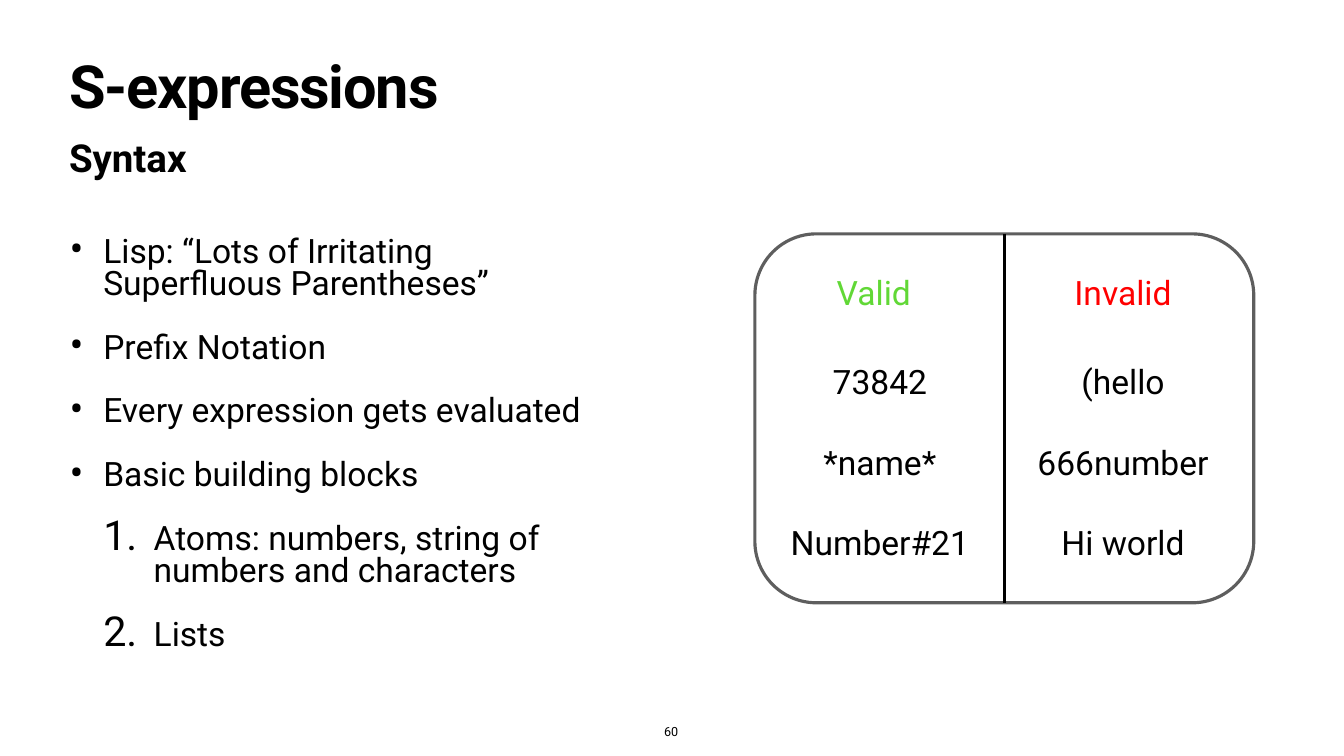
from lxml import etree
from pptx import Presentation
from pptx.dml.color import RGBColor
from pptx.enum.shapes import MSO_CONNECTOR, MSO_SHAPE
from pptx.enum.text import MSO_ANCHOR, PP_ALIGN
from pptx.oxml.ns import qn
from pptx.util import Inches, Pt

TOP, MIDDLE, BOTTOM = MSO_ANCHOR.TOP, MSO_ANCHOR.MIDDLE, MSO_ANCHOR.BOTTOM
LEFT, CENTER = PP_ALIGN.LEFT, PP_ALIGN.CENTER
ROUNDED, STRAIGHT = MSO_SHAPE.ROUNDED_RECTANGLE, MSO_CONNECTOR.STRAIGHT

FONT = "Roboto"
COLORS = {"text": "000000", "valid": "61D836", "invalid": "FF0000", "frame": "5E5E5E"}

TITLE = "S-expressions"
SUBTITLE = "Syntax"
PAGE_NUMBER = "60"
POINTS = [
    (0, "Lisp: “Lots of Irritating Superfluous Parentheses”"),
    (0, "Prefix Notation"),
    (0, "Every expression gets evaluated"),
    (0, "Basic building blocks"),
    (1, "Atoms: numbers, string of numbers and characters"),
    (1, "Lists"),
]
LEVELS = [
    {"margin": 0.67, "hanging": 0.67, "tag": "a:buChar", "attributes": {"char": "•"}},
    {"margin": 1.67, "hanging": 1.0, "tag": "a:buAutoNum", "attributes": {"type": "arabicPeriod"}},
]
COLUMNS = [
    {"heading": "Valid", "color": "valid", "heading_span": (15.53, 3.62),
     "examples": ["73842", "*name*", "Number#21"], "examples_span": (15.53, 3.86)},
    {"heading": "Invalid", "color": "invalid", "heading_span": (21.03, 2.51),
     "examples": ["(hello", "666number", "Hi world"], "examples_span": (19.93, 4.71)},
]
FRAME = (14.98, 4.64, 9.9, 7.32)


def fill_text(shape, texts, size, color="text", bold=False, align=LEFT,
              anchor=TOP, inset=0.06, gap=0):
    frame = shape.text_frame
    frame.text = "\n".join(texts)
    frame.word_wrap = True
    frame.vertical_anchor = anchor
    frame.margin_left = frame.margin_right = Inches(inset)
    frame.margin_top = frame.margin_bottom = Inches(inset)
    for index, paragraph in enumerate(frame.paragraphs):
        paragraph.alignment = align
        if index and gap:
            paragraph.space_before = Pt(gap)
        for run in paragraph.runs:
            run.font.name = FONT
            run.font.size = Pt(size)
            run.font.bold = bold
            run.font.color.rgb = RGBColor.from_string(COLORS[color])
    return frame.paragraphs


def add_text(slide, box, texts, size, **style):
    shape = slide.shapes.add_textbox(*map(Inches, box))
    return fill_text(shape, texts, size, **style)


def add_bullet(paragraph, level):
    style = LEVELS[level]
    paragraph.level = level
    properties = paragraph._p.get_or_add_pPr()
    properties.set("marL", str(Inches(style["margin"])))
    properties.set("indent", str(-Inches(style["hanging"])))
    etree.SubElement(properties, qn("a:buSzPct"), val="123000")
    etree.SubElement(properties, qn("a:buFont"), typeface=FONT)
    etree.SubElement(properties, qn(style["tag"]), style["attributes"])


def add_title(slide):
    title = slide.shapes.title
    title.left, title.top, title.width, title.height = map(Inches, (1.32, 1.18, 24.03, 1.57))
    paragraph = fill_text(title, [TITLE], 85, bold=True)[0]
    paragraph.line_spacing = 0.8
    paragraph.runs[0].font._element.set("spc", "-170")


def add_points(slide):
    texts = [text for _, text in POINTS]
    paragraphs = add_text(slide, (1.32, 4.65, 10.37, 9.03), texts, 48, gap=45)
    for paragraph, (level, _) in zip(paragraphs, POINTS):
        paragraph.line_spacing = 0.8
        add_bullet(paragraph, level)


def add_comparison(slide):
    frame = slide.shapes.add_shape(ROUNDED, *map(Inches, FRAME))
    frame.shadow.inherit = False
    frame.fill.background()
    frame.line.color.rgb = RGBColor.from_string(COLORS["frame"])
    frame.line.width = Pt(4.5)

    divider = slide.shapes.add_connector(STRAIGHT, 0, 0, 0, 0)
    divider.begin_connect(frame, 0)
    divider.end_connect(frame, 2)
    divider.line.color.rgb = RGBColor.from_string(COLORS["text"])
    divider.line.width = Pt(4.5)
    etree.SubElement(divider._element.spPr, qn("a:effectLst"))

    for column in COLUMNS:
        left, width = column["heading_span"]
        add_text(slide, (left, 5.33, width, 0.92), [column["heading"]], 48,
                 color=column["color"], align=CENTER, anchor=MIDDLE)
        left, width = column["examples_span"]
        add_text(slide, (left, 7.09, width, 4.15), column["examples"], 48,
                 align=CENTER, anchor=MIDDLE, gap=57.5)


def main():
    presentation = Presentation()
    presentation.slide_width = Inches(26.67)
    presentation.slide_height = Inches(15)
    slide = presentation.slides.add_slide(presentation.slide_layouts[5])
    add_title(slide)
    add_text(slide, (1.32, 2.6, 24.03, 1.02), [SUBTITLE], 55, bold=True, inset=0.05)
    add_points(slide)
    add_comparison(slide)
    add_text(slide, (13.02, 14.31, 0.6, 0.41), [PAGE_NUMBER], 18,
             align=CENTER, anchor=BOTTOM)
    presentation.save("out.pptx")


if __name__ == "__main__":
    main()
